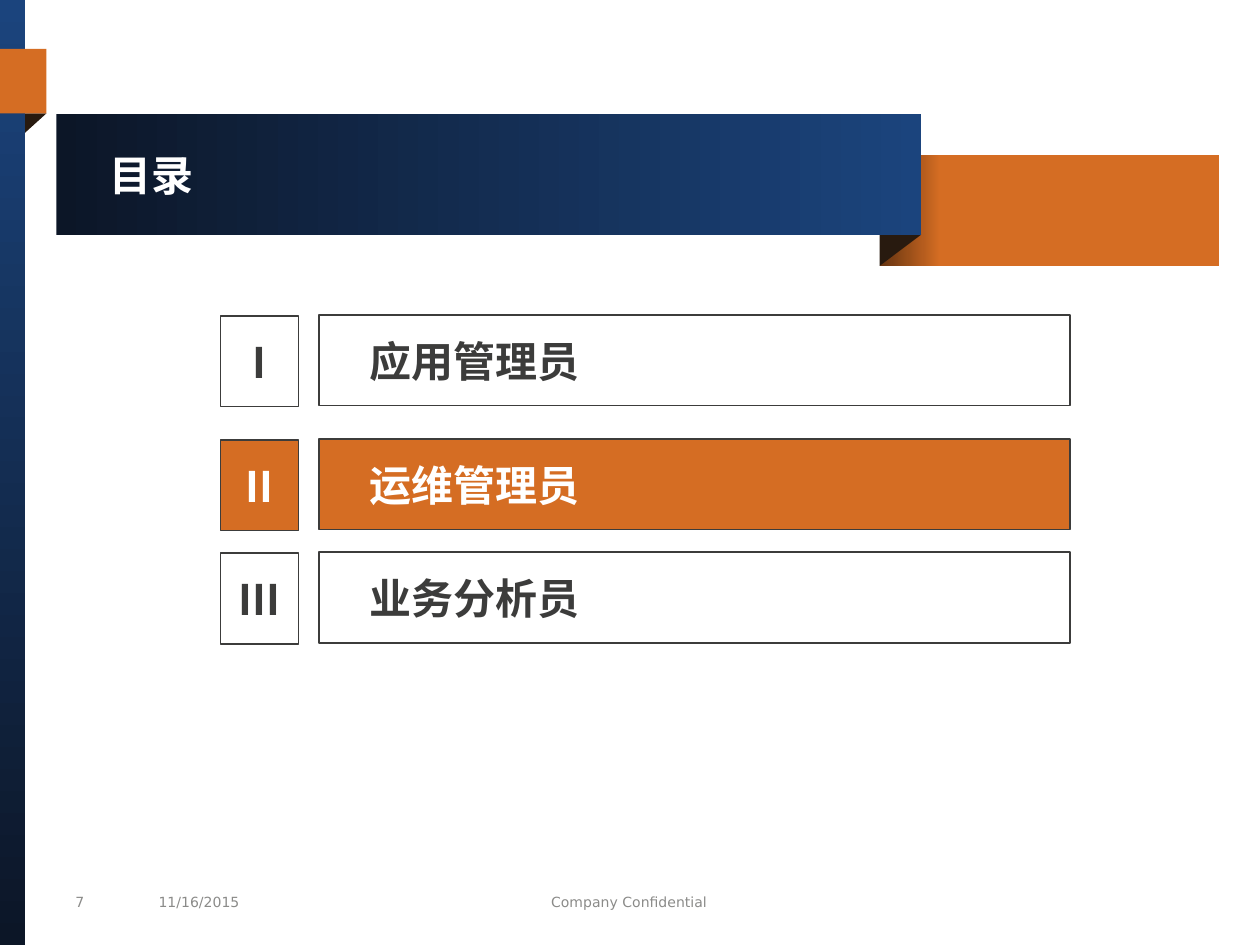
from dataclasses import dataclass

from lxml import etree
from pptx import Presentation
from pptx import util as u
from pptx.dml import color
from pptx.enum import shapes, text
from pptx.oxml import ns

COLORS = {
    "navy": "0C1627", "blue": "1B447D", "orange": "D56D23", "rust": "6A3611",
    "fold": "281A0F", "ink": "3C3C3B", "gray": "8B8B89", "white": "FFFFFF",
}
HEADING_FONT = "Noto Sans CJK SC"
FOOTER_FONT = "DejaVu Sans"
LEFT, CENTER = text.PP_ALIGN.LEFT, text.PP_ALIGN.CENTER


@dataclass(frozen=True)
class Box:
    left: float
    top: float
    width: float
    height: float

    def lengths(self) -> tuple:
        return tuple(u.Pt(value) for value in (self.left, self.top, self.width, self.height))


@dataclass(frozen=True)
class Style:
    font: str
    size: float
    color: str
    bold: bool = False
    align: text.PP_ALIGN = LEFT


@dataclass(frozen=True)
class AgendaRow:
    numeral: str
    label: str
    top: float
    active: bool = False


@dataclass(frozen=True)
class FooterItem:
    wording: str
    left: float
    width: float
    align: text.PP_ALIGN = LEFT


AGENDA = (
    AgendaRow("I", "应用管理员", 180),
    AgendaRow("II", "运维管理员", 250.8, True),
    AgendaRow("III", "业务分析员", 315.6),
)
FOOTER = (
    FooterItem("7", 36, 36),
    FooterItem("11/16/2015", 83.5, 120),
    FooterItem("Company Confidential", 209.5, 300, CENTER),
)


def rgb(name: str) -> color.RGBColor:
    return color.RGBColor.from_string(COLORS[name])


def write_text(shape, wording: str, style: Style, insets: tuple) -> None:
    frame = shape.text_frame
    frame.word_wrap = True
    frame.auto_size = text.MSO_AUTO_SIZE.NONE
    frame.vertical_anchor = text.MSO_ANCHOR.MIDDLE
    frame.margin_left, frame.margin_top, frame.margin_right, frame.margin_bottom = (
        u.Pt(inset) for inset in insets
    )
    paragraph = frame.paragraphs[0]
    paragraph.alignment = style.align
    run = paragraph.add_run()
    run.text = wording
    run.font.size = u.Pt(style.size)
    run.font.bold = style.bold
    run.font.color.rgb = rgb(style.color)
    run.font.name = style.font
    properties = run.font._element
    etree.SubElement(properties, ns.qn("a:ea")).set("typeface", style.font)


def add_plain(slide, kind, box: Box):
    shape = slide.shapes.add_shape(kind, *box.lengths())
    shape.shadow.inherit = False
    shape.line.fill.background()
    return shape


def add_block(slide, box: Box, fill: str):
    shape = add_plain(slide, shapes.MSO_SHAPE.RECTANGLE, box)
    shape.fill.solid()
    shape.fill.fore_color.rgb = rgb(fill)
    return shape


def add_gradient(slide, box: Box, stops: tuple, angle: float) -> None:
    shape = add_plain(slide, shapes.MSO_SHAPE.RECTANGLE, box)
    shape.fill.gradient()
    shape.fill.gradient_angle = angle
    for stop, (position, name) in zip(shape.fill.gradient_stops, stops):
        stop.position = position
        stop.color.rgb = rgb(name)


def add_fold(slide, box: Box) -> None:
    shape = add_plain(slide, shapes.MSO_SHAPE.RIGHT_TRIANGLE, box)
    shape.fill.solid()
    shape.fill.fore_color.rgb = rgb("fold")
    shape.element.spPr.find(ns.qn("a:xfrm")).set("flipV", "1")


def add_agenda_row(slide, row: AgendaRow) -> None:
    fill, ink = ("orange", "white") if row.active else ("white", "ink")
    cells = (
        (row.label, Box(182.2, row.top, 429.1, 51.8), LEFT, 28.8),
        (row.numeral, Box(126, row.top + 0.6, 44.6, 51.8), CENTER, 0),
    )
    for wording, box, align, inset in cells:
        shape = add_block(slide, box, fill)
        shape.line.color.rgb = rgb("ink")
        shape.line.width = u.Pt(1)
        write_text(shape, wording, Style(HEADING_FONT, 24, ink, True, align), (inset, 3.6, 0, 3.6))


def add_footer_item(slide, item: FooterItem) -> None:
    box = Box(item.left, 506.9, item.width, 17.3)
    shape = slide.shapes.add_textbox(*box.lengths())
    write_text(shape, item.wording, Style(FOOTER_FONT, 8, "gray", align=item.align), (7.2, 3.6, 7.2, 3.6))


def add_title(slide, wording: str) -> None:
    title = slide.shapes.title
    title.left, title.top, title.width, title.height = Box(55.4, 65, 452.2, 69.1).lengths()
    slide.shapes.element.append(title.element)
    write_text(title, wording, Style(HEADING_FONT, 24, "white", True), (7.2, 0, 7.2, 0))


def main() -> None:
    presentation = Presentation()
    presentation.slide_width, presentation.slide_height = u.Pt(720), u.Pt(540)
    slide = presentation.slides.add_slide(presentation.slide_layouts[5])
    navy_to_blue = ((0, "navy"), (1, "blue"))

    add_fold(slide, Box(12.2, 64.8, 14.4, 13))
    add_gradient(slide, Box(0, 0, 14.4, 540), navy_to_blue, 90)
    add_block(slide, Box(0, 28, 26.6, 36.8), "orange")
    for item in FOOTER:
        add_footer_item(slide, item)

    add_gradient(slide, Box(502.6, 88.6, 193.9, 63.4), ((0.01, "rust"), (0.18, "orange")), 0)
    add_fold(slide, Box(502.6, 134.1, 23.8, 17.9))
    add_gradient(slide, Box(32.2, 65, 494.2, 69.1), navy_to_blue, 0)
    add_title(slide, "目录")

    for row in AGENDA:
        add_agenda_row(slide, row)
    presentation.save("out.pptx")


if __name__ == "__main__":
    main()
